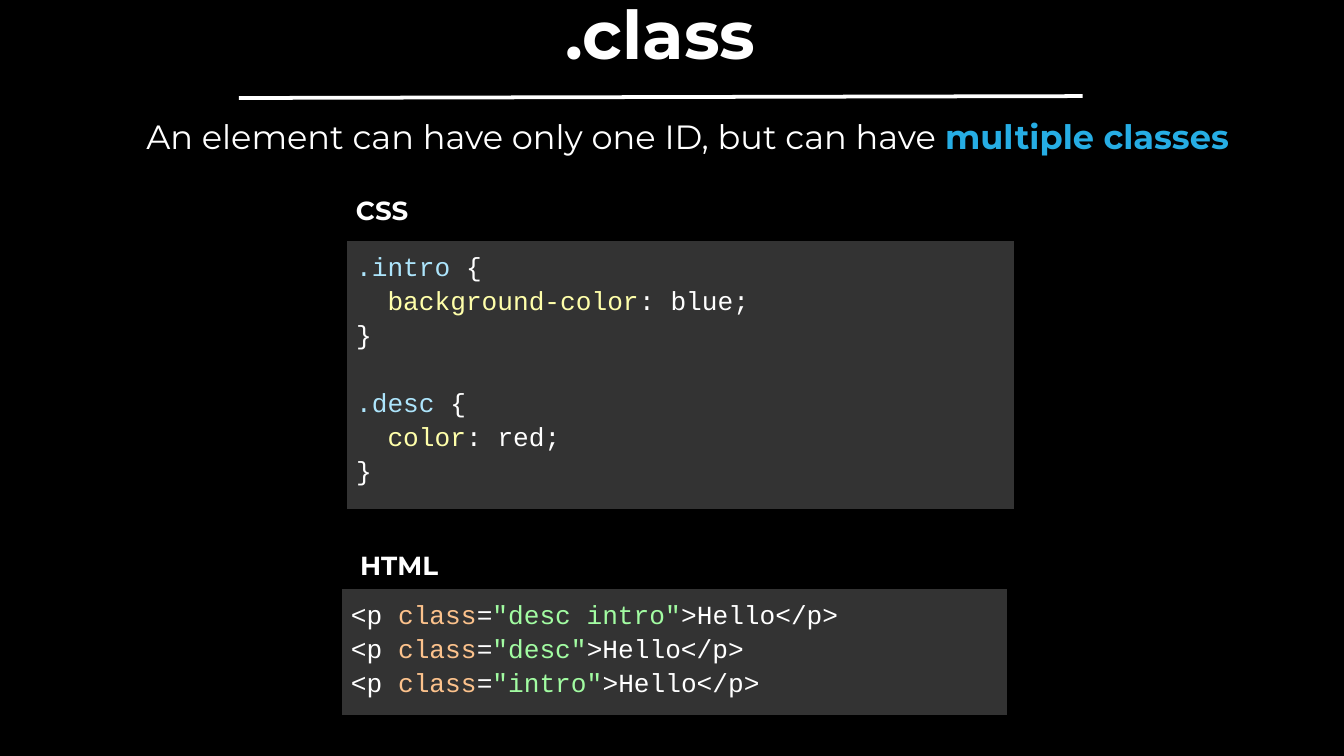
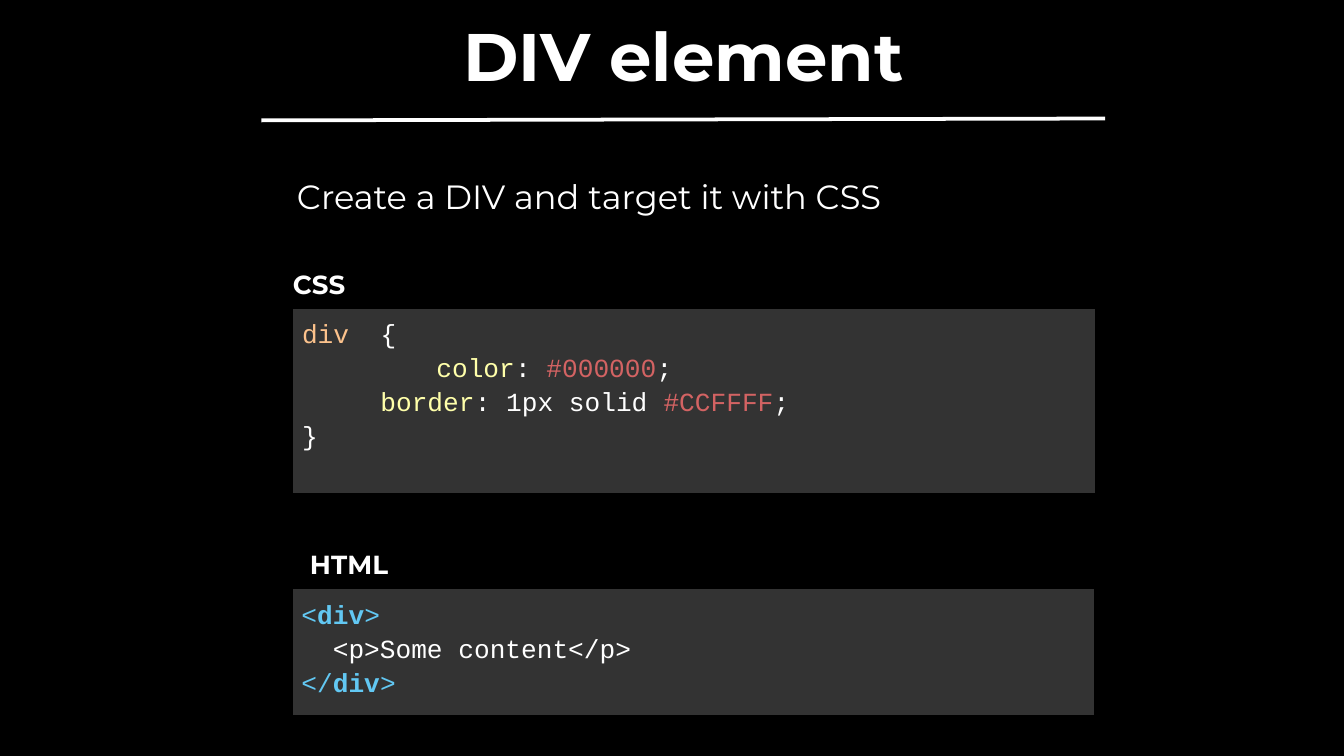
from lxml import etree
from pptx import Presentation
from pptx.dml.color import RGBColor
from pptx.enum import shapes, text
from pptx.oxml import ns
from pptx.util import Pt

BLACK = RGBColor(0x00, 0x00, 0x00)
WHITE = RGBColor(0xFF, 0xFF, 0xFF)
ACCENT = RGBColor(0x26, 0xAD, 0xE4)
CODE_FILL = RGBColor(0x33, 0x33, 0x33)
SELECTOR = RGBColor(0xAD, 0xE5, 0xFC)
PROPERTY = RGBColor(0xFF, 0xFF, 0xAA)
KEYWORD = RGBColor(0xFC, 0xC2, 0x8C)
STRING = RGBColor(0xA2, 0xFC, 0xA2)
HEX_VALUE = RGBColor(0xD3, 0x63, 0x63)
TAG = RGBColor(0x62, 0xC8, 0xF3)

HEADING_FONT, CODE_FONT = "Montserrat", "Courier New"
CODE_SIZE = 14
CHARACTER = 8.4  # advance of one code character
CODE_LINE = 18.2  # height of one line of code


def add_runs(paragraph, runs, font, size):
    """Each run is (text, colour) or (text, colour, bold)."""
    for words, colour, *bold in runs:
        run = paragraph.add_run()
        run.text = words
        run.font.name = font
        run.font.size = Pt(size)
        run.font.color.rgb = colour
        run.font.bold = bool(bold and bold[0])


def add_text(slide, left, top, width, height, runs, size, margins):
    shape = slide.shapes.add_textbox(Pt(left), Pt(top), Pt(width), Pt(height))
    frame = shape.text_frame
    frame.word_wrap = True
    frame.margin_left = frame.margin_right = Pt(margins[0])
    frame.margin_top = frame.margin_bottom = Pt(margins[1])
    add_runs(frame.paragraphs[0], runs, HEADING_FONT, size)
    return frame


def add_title(slide, left, top, title):
    # Title text
    frame = add_text(slide, left, top, 720, 40, [(title, WHITE, True)], 36, (3, 0))
    frame.vertical_anchor = text.MSO_ANCHOR.MIDDLE
    frame.paragraphs[0].alignment = text.PP_ALIGN.CENTER
    frame.paragraphs[0].line_spacing = 0.9

    # Slightly rising rule
    rule = slide.shapes.add_connector(
        shapes.MSO_CONNECTOR.STRAIGHT,
        Pt(left + 134), Pt(top + 52.5), Pt(left + 586), Pt(top + 51.5))
    rule.line.color.rgb = WHITE
    rule.line.width = Pt(2)
    etree.SubElement(rule._element.spPr, ns.qn("a:effectLst"))


def add_statement(slide, left, top, width, height, runs):
    add_text(slide, left, top, width, height, runs, 18, (7.2, 3.6))


def set_borders(cell):
    properties = cell._tc.get_or_add_tcPr()
    for position, side in enumerate(("lnL", "lnR", "lnT", "lnB")):
        line = etree.Element(ns.qn("a:" + side), w=str(Pt(0.75)))
        fill = etree.SubElement(line, ns.qn("a:solidFill"))
        etree.SubElement(fill, ns.qn("a:srgbClr"), val=str(BLACK))
        properties.insert(position, line)


def add_code(slide, left, top, width, height, label, label_offset, lines):
    """Each line is (indent in points, blank lines before, runs)."""
    # Language label
    add_text(slide, left + label_offset[0], top + label_offset[1], 100.8, 21.6,
             [(label, WHITE, True)], 14, (7.2, 7.2))

    # One-cell code panel
    table = slide.shapes.add_table(
        1, 1, Pt(left), Pt(top), Pt(width), Pt(height)).table
    table.first_row = table.horz_banding = False
    cell = table.cell(0, 0)
    cell.fill.solid()
    cell.fill.fore_color.rgb = CODE_FILL
    set_borders(cell)
    cell.margin_left = cell.margin_right = Pt(5)
    cell.margin_top = cell.margin_bottom = Pt(5)

    # Lines of code
    for number, (indent, blank_lines, runs) in enumerate(lines):
        frame = cell.text_frame
        paragraph = frame.add_paragraph() if number else frame.paragraphs[0]
        paragraph.line_spacing = 1.15
        paragraph.space_before = Pt(blank_lines * CODE_LINE)
        properties = paragraph._p.get_or_add_pPr()
        properties.set("marL", str(Pt(indent)))
        properties.set("indent", "0")
        add_runs(paragraph, runs, CODE_FONT, CODE_SIZE)


def css_rule(selector, name, value, blank_lines=0):
    return [
        (0, blank_lines, [(selector, SELECTOR), (" {", WHITE)]),
        (2 * CHARACTER, 0, [(name, PROPERTY), (f": {value};", WHITE)]),
        (0, 0, [("}", WHITE)]),
    ]


def html_paragraph(classes):
    return (0, 0, [("<p ", WHITE), ("class", KEYWORD), ("=", WHITE),
                   (f'"{classes}"', STRING), (">Hello</p>", WHITE)])


def html_tag(opening):
    return (0, 0, [(opening, TAG), ("div", TAG, True), (">", TAG)])


def add_slide(presentation):
    slide = presentation.slides.add_slide(presentation.slide_layouts[6])
    slide.background.fill.solid()
    slide.background.fill.fore_color.rgb = BLACK
    return slide


def build_class_slide(presentation):
    slide = add_slide(presentation)
    add_title(slide, -6, 0, ".class")
    add_statement(slide, 71.3, 58.3, 605, 51, [
        ("An element can have only one ID, but can have ", WHITE),
        ("multiple classes", ACCENT, True)])
    add_code(slide, 185.8, 129, 358, 137, "CSS", (-2.2, -31.8),
             css_rule(".intro", "background-color", "blue")
             + css_rule(".desc", "color", "red", blank_lines=1))
    add_code(slide, 183, 315.4, 357, 64, "HTML", (2.8, -28.1),
             [html_paragraph(name) for name in ("desc intro", "desc", "intro")])


def build_div_slide(presentation):
    slide = add_slide(presentation)
    add_title(slide, 6, 12, "DIV element")
    add_statement(slide, 152, 90.7, 517, 34.6,
                  [("Create a DIV and target it with CSS", WHITE)])
    add_code(slide, 156.8, 165, 430, 99.5, "CSS", (-7, -28.2), [
        (0, 0, [("div", KEYWORD), ("  {", WHITE)]),
        (72, 0, [("color", PROPERTY), (": ", WHITE),
                 ("#000000", HEX_VALUE), (";", WHITE)]),
        (5 * CHARACTER, 0, [("border", PROPERTY), (": 1px solid ", WHITE),
                            ("#CCFFFF", HEX_VALUE), (";", WHITE)]),
        (0, 0, [("}", WHITE)]),
    ])
    add_code(slide, 156.5, 315.4, 430, 64, "HTML", (2.5, -28.8), [
        html_tag("<"),
        (2 * CHARACTER, 0, [("<p>Some content</p>", WHITE)]),
        html_tag("</"),
    ])


presentation = Presentation()
presentation.slide_width = Pt(720)
presentation.slide_height = Pt(405)
build_class_slide(presentation)
build_div_slide(presentation)
presentation.save("out.pptx")
